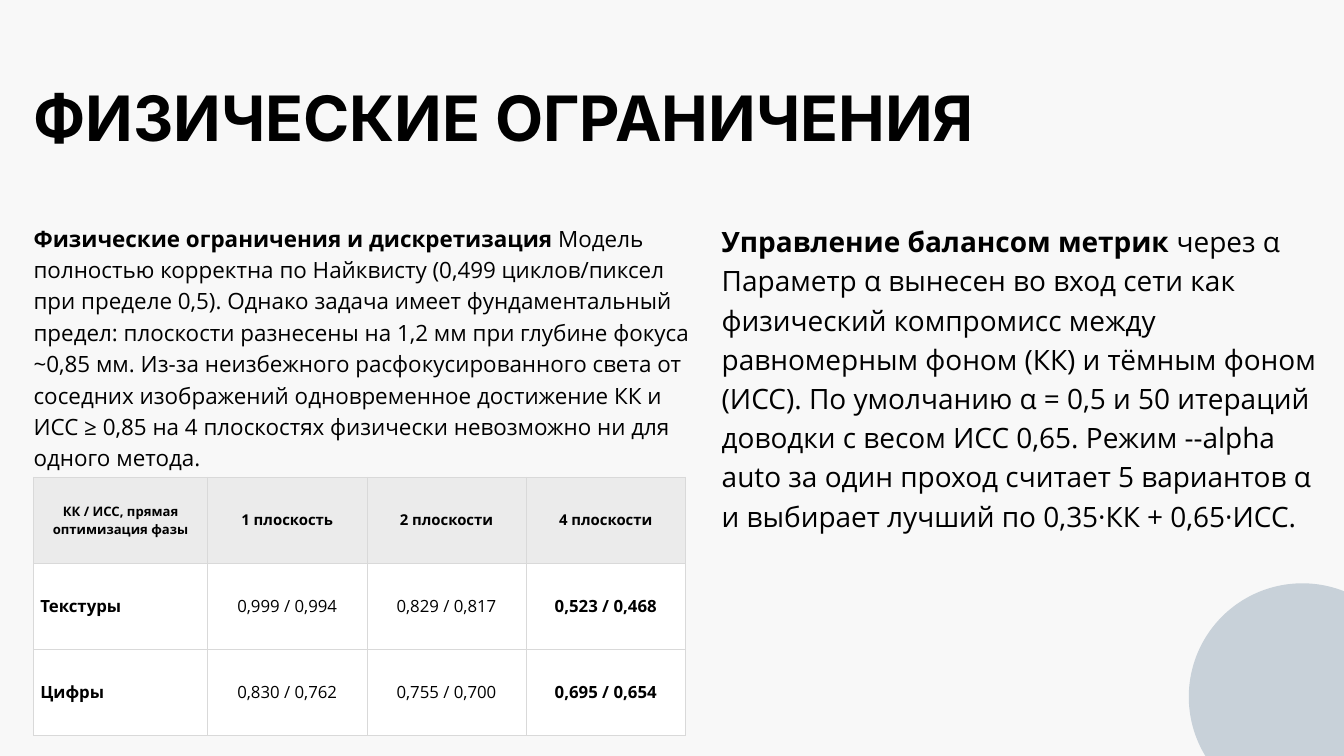
from lxml.etree import SubElement
from pptx import Presentation
from pptx.dml.color import RGBColor
from pptx.enum.shapes import MSO_SHAPE
from pptx.enum.text import MSO_ANCHOR, MSO_AUTO_SIZE, PP_ALIGN
from pptx.oxml.ns import qn
from pptx.util import Inches, Pt

TITLE = "ФИЗИЧЕСКИЕ ОГРАНИЧЕНИЯ"
LIMITS = [
    [("Физические ограничения и дискретизация", True),
     (" Модель полностью корректна по Найквисту (0,499 циклов/пиксел при пределе 0,5). "
      "Однако задача имеет фундаментальный предел: плоскости разнесены на 1,2 мм при "
      "глубине фокуса ~0,85 мм. Из-за неизбежного расфокусированного света от соседних "
      "изображений одновременное достижение КК и ИСС ≥ 0,85 на 4 плоскостях физически "
      "невозможно ни для одного метода.", False)],
]
BALANCE = [
    [("Управление балансом метрик", True), (" через α", False)],
    [("Параметр α вынесен во вход сети как физический компромисс между равномерным "
      "фоном (КК) и тёмным фоном (ИСС). По умолчанию α = 0,5 и 50 итераций доводки с "
      "весом ИСС 0,65. Режим --alpha auto за один проход считает 5 вариантов α и "
      "выбирает лучший по 0,35·КК + 0,65·ИСС.", False)],
]
RESULTS = [
    ["КК / ИСС, прямая оптимизация фазы", "1 плоскость", "2 плоскости", "4 плоскости"],
    ["Текстуры", "0,999 / 0,994", "0,829 / 0,817", "0,523 / 0,468"],
    ["Цифры", "0,830 / 0,762", "0,755 / 0,700", "0,695 / 0,654"],
]
COLUMN_WIDTHS = [2.59, 2.37, 2.37, 2.37]
ROW_HEIGHT = 1.28
LEFT = 0.5


def color(value):
    return RGBColor.from_string(value)


def set_font(font, name, size):
    font.name = name
    font.size = Pt(size)
    font.color.rgb = color("000000")


def prepare_frame(frame):
    frame.word_wrap = True
    frame.auto_size = MSO_AUTO_SIZE.NONE
    frame.vertical_anchor = MSO_ANCHOR.TOP
    frame.margin_left = frame.margin_right = frame.margin_top = frame.margin_bottom = 0


def add_title(page):
    title = page.shapes.title
    title.left, title.top = Inches(LEFT), Inches(0.99)
    title.width, title.height = Inches(18.88), Inches(1.25)
    prepare_frame(title.text_frame)
    para = title.text_frame.paragraphs[0]
    para.text = TITLE
    para.alignment = PP_ALIGN.LEFT
    para.line_spacing = Pt(93.8)
    set_font(para.font, "Inter", 67)
    para.font.bold = True


def add_text(page, paragraphs, left, top, width, height, size):
    box = page.shapes.add_textbox(Inches(left), Inches(top), Inches(width), Inches(height))
    frame = box.text_frame
    prepare_frame(frame)
    for index, spans in enumerate(paragraphs):
        para = frame.add_paragraph() if index else frame.paragraphs[0]
        para.line_spacing = Pt(size * 1.4)
        set_font(para.font, "Open Sans", size)
        for text, bold in spans:
            span = para.add_run()
            span.text = text
            span.font.bold = bold


def add_borders(cell):
    properties = cell._tc.get_or_add_tcPr()
    for side in ("a:lnL", "a:lnR", "a:lnT", "a:lnB"):
        line = SubElement(properties, qn(side), w=str(Pt(0.75)))
        fill = SubElement(line, qn("a:solidFill"))
        SubElement(fill, qn("a:srgbClr"), val="D9D9D9")


def add_results(page):
    rows, columns = len(RESULTS), len(COLUMN_WIDTHS)
    table = page.shapes.add_table(
        rows, columns, Inches(LEFT), Inches(7.1),
        Inches(sum(COLUMN_WIDTHS)), Inches(ROW_HEIGHT * rows)).table
    for column, width in zip(table.columns, COLUMN_WIDTHS):
        column.width = Inches(width)
    for r, values in enumerate(RESULTS):
        table.rows[r].height = Inches(ROW_HEIGHT)
        for c, value in enumerate(values):
            cell = table.cell(r, c)
            add_borders(cell)
            cell.fill.solid()
            cell.fill.fore_color.rgb = color("FFFFFF" if r else "EBEBEB")
            cell.vertical_anchor = MSO_ANCHOR.MIDDLE
            para = cell.text_frame.paragraphs[0]
            para.text = value
            para.alignment = PP_ALIGN.LEFT if r and c == 0 else PP_ALIGN.CENTER
            set_font(para.font, "Open Sans", 18 if r else 16 if c else 14)
            para.font.bold = r == 0 or c in (0, columns - 1)


def add_circle(page):
    circle = page.shapes.add_shape(
        MSO_SHAPE.OVAL, Inches(17.69), Inches(8.68), Inches(3.38), Inches(3.38))
    circle.shadow.inherit = False
    circle.fill.solid()
    circle.fill.fore_color.rgb = color("C8D1D9")
    circle.line.fill.background()


def main():
    deck = Presentation()
    deck.slide_width, deck.slide_height = Inches(20), Inches(11.25)
    page = deck.slides.add_slide(deck.slide_layouts[5])
    page.background.fill.solid()
    page.background.fill.fore_color.rgb = color("F8F8F8")
    add_circle(page)
    add_results(page)
    add_title(page)
    add_text(page, LIMITS, LEFT, 3.28, 9.94, 3.64, 24)
    add_text(page, BALANCE, 10.74, 3.26, 9, 5.23, 30)
    deck.save("out.pptx")


if __name__ == "__main__":
    main()
